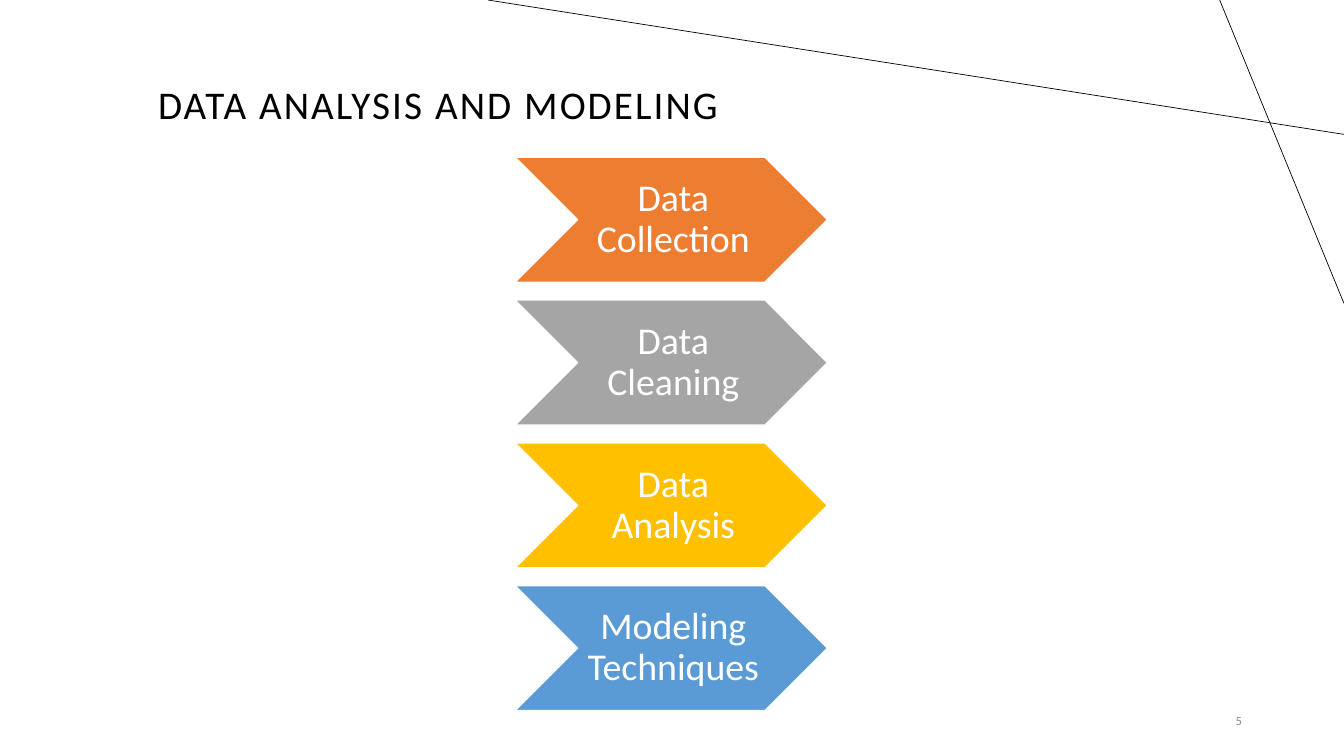
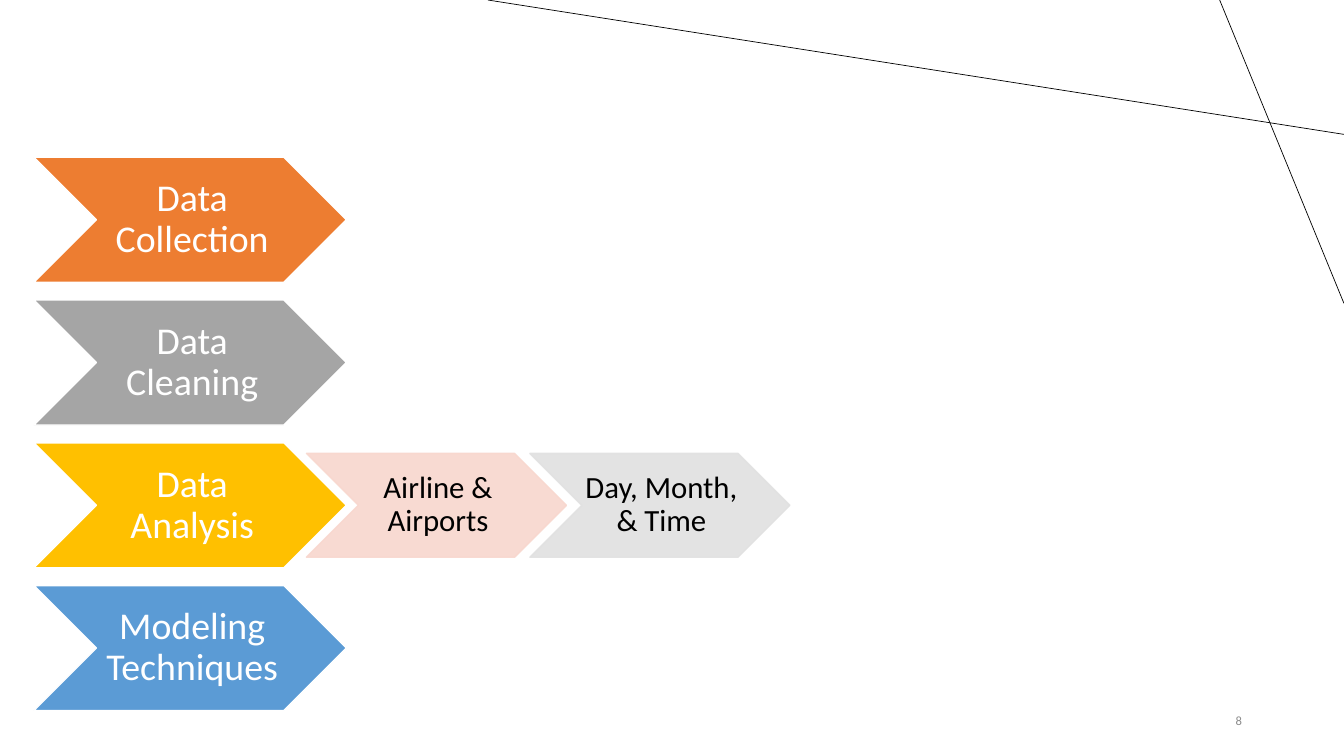
from dataclasses import dataclass

from lxml import etree
from pptx import Presentation
from pptx import util as u
from pptx.dml.color import RGBColor
from pptx.enum import shapes, text
from pptx.oxml.ns import qn

PX = 3048  # EMU per px, 300 px to the inch
SLIDE_W, SLIDE_H = 4000, 2250


@dataclass(frozen=True)
class Theme:
    font: str = "Calibri"
    ink: str = "000000"
    paper: str = "FFFFFF"
    muted: str = "8C8C8C"
    orange: str = "ED7D31"
    grey: str = "A5A5A5"
    gold: str = "FFC000"
    blue: str = "5B9BD5"
    pale_orange: str = "F8D7CE"
    pale_grey: str = "E1E1E1"
    title: int = 28
    step: int = 27
    detail: int = 22
    page: int = 9
    title_spacing: int = 150  # hundredths of a point
    detail_alpha: int = 90000


T = Theme()

STEPS = [("Data Collection", T.orange), ("Data Cleaning", T.grey),
         ("Data Analysis", T.gold), ("Modeling Techniques", T.blue)]
DETAILS = [("Airline & Airports", T.pale_orange),
           ("Day, Month, & Time", T.pale_grey)]


def px(*values):
    return [u.Emu(round(v * PX)) for v in values]


def set_attrs(target, values):
    for name, value in values.items():
        setattr(target, name, value)


def write(sp, words, size, color, align, anchor, spacing=1.0, insets=None):
    """Put one formatted paragraph into a shape and return its run."""
    tf = sp.text_frame
    set_attrs(tf, {"word_wrap": True, "vertical_anchor": anchor})
    if insets:
        sides = ("margin_left", "margin_top", "margin_right", "margin_bottom")
        set_attrs(tf, dict(zip(sides, px(*insets))))
    p = tf.paragraphs[0]
    set_attrs(p, {"alignment": align, "line_spacing": spacing})
    r = p.add_run()
    r.text = words
    set_attrs(r.font, {"name": T.font, "size": u.Pt(size)})
    r.font.color.rgb = RGBColor.from_string(color)
    return r


def add_frame(s, number):
    """Crossing corner lines and page number."""
    for ends in ((SLIDE_W, 400, 1452, 0), (3630, 0, SLIDE_W, 903)):
        line = s.shapes.add_connector(shapes.MSO_CONNECTOR.STRAIGHT, *px(*ends))
        line.line.color.rgb = RGBColor.from_string(T.ink)
        line.line.width = u.Pt(0.5)
        etree.SubElement(line._element.spPr, qn("a:effectLst"))
    write(s.shapes.add_textbox(*px(3402, 2085, 324, 120)), str(number), T.page,
          T.muted, text.PP_ALIGN.RIGHT, text.MSO_ANCHOR.MIDDLE)


def add_title(s, words):
    r = write(s.shapes.add_textbox(*px(441, 183, 3267, 213)), words, T.title,
              T.ink, text.PP_ALIGN.LEFT, text.MSO_ANCHOR.BOTTOM, 0.9)
    r.font._element.set("spc", str(T.title_spacing))


def add_chevron(s, box, words, fill, line, size, color, insets, alpha=None):
    sp = s.shapes.add_shape(shapes.MSO_SHAPE.CHEVRON, *px(*box))
    sp.shadow.inherit = False
    sp.fill.solid()
    sp.fill.fore_color.rgb = RGBColor.from_string(fill)
    sp.line.color.rgb = RGBColor.from_string(line)
    sp.line.width = u.Pt(1)
    if alpha:
        for clr in sp._element.spPr.iter(qn("a:srgbClr")):
            etree.SubElement(clr, qn("a:alpha"), val=str(alpha))
    write(sp, words, size, color, text.PP_ALIGN.CENTER,
          text.MSO_ANCHOR.MIDDLE, 0.9, insets)


def add_details(s, x, center_y, details):
    """Row of overlapping smaller chevrons, centred on center_y."""
    w, h, overlap = 774, 309, 109
    for i, (words, fill) in enumerate(details):
        box = (x + i * (w - overlap), center_y - h / 2, w, h)
        add_chevron(s, box, words, fill, fill, T.detail, T.ink,
                    (9, 6, 0, 6), T.detail_alpha)


def add_steps(s, x, y, details=None):
    """Column of chevrons; details maps a step to the row beside it."""
    w, h, gap, overlap = 930, 372, 53, 119
    for i, (words, fill) in enumerate(STEPS):
        top = y + i * (h + gap)
        add_chevron(s, (x, top, w, h), words, fill, T.paper, T.step, T.paper,
                    (12, 6, 0, 6))
        add_details(s, x + w - overlap, top + h / 2,
                    (details or {}).get(words, []))


def add_process_slide(prs, number, x, title=None, details=None):
    s = prs.slides.add_slide(prs.slide_layouts[6])
    add_frame(s, number)
    if title:
        add_title(s, title)
    add_steps(s, x, 468, details)


def main():
    prs = Presentation()
    prs.slide_width, prs.slide_height = px(SLIDE_W, SLIDE_H)
    add_process_slide(prs, 5, 1533, title="DATA ANALYSIS AND MODELING")
    add_process_slide(prs, 8, 101, details={"Data Analysis": DETAILS})
    prs.save("out.pptx")


if __name__ == "__main__":
    main()
